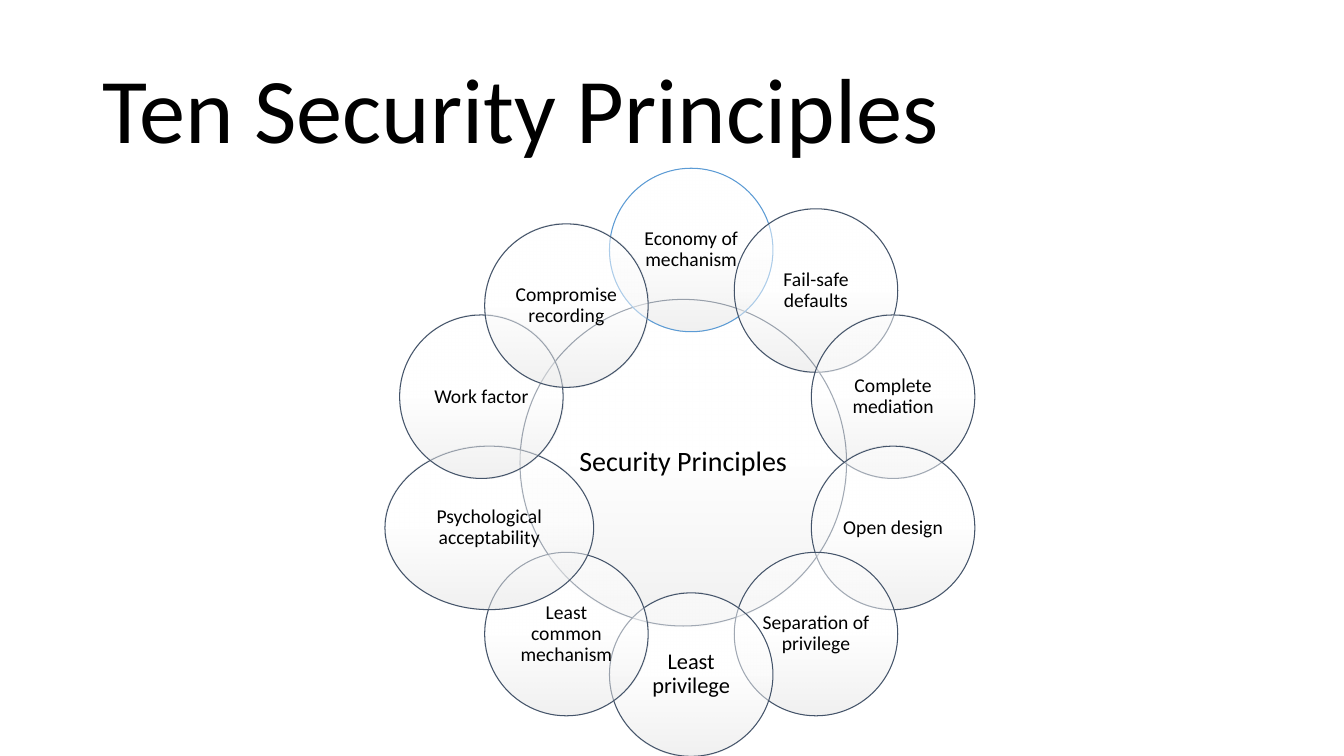
from math import cos, radians, sin

from lxml.etree import SubElement
from pptx import Presentation
from pptx.dml.color import RGBColor as Rgb
from pptx.enum.shapes import MSO_SHAPE as Shape
from pptx.enum.text import MSO_ANCHOR as Anchor, PP_ALIGN as Align
from pptx.oxml.ns import qn
from pptx.util import Cm, Pt

COLORS = {
    "text": "000000",
    "light": "FFFFFF",
    "shade": "E3E3E3",
    "line": "44546A",
    "first": "5B9BD5",
}
FONT = "Calibri"
HUB_X, HUB_Y, HUB_SIZE = 17.22, 11.66, 8.23
RING_X, RING_Y, RADIUS = 17.42, 11.65, 5.35
SIZE = 4.12

# Clockwise from the top; options override the defaults of add_circle,
# and dx, dy move a circle off the ring.
RING = [
    ("Economy of mechanism", {"line": "first"}),
    ("Fail-safe defaults", {}),
    ("Complete mediation", {}),
    ("Open design", {}),
    ("Separation of privilege", {}),
    ("Least privilege", {"points": 16}),
    ("Least common mechanism", {}),
    ("Psychological acceptability", {"width": 5.26}),
    ("Work factor", {"dx": -0.2}),
    ("Compromise recording", {"dy": 0.38}),
]


def set_text(frame, text, points, align):
    frame.word_wrap = True
    frame.vertical_anchor = Anchor.MIDDLE
    para = frame.paragraphs[0]
    para.text = text
    para.alignment = align
    para.line_spacing = 0.9
    para.font.name = FONT
    para.font.size = Pt(points)
    para.font.color.rgb = Rgb.from_string(COLORS["text"])


def set_glass(fill):
    """Fill with a half-transparent gradient that darkens downward."""
    fill.gradient()
    fill.gradient_angle = 270
    stops = fill._xPr.find(qn("a:gradFill")).find(qn("a:gsLst"))
    for old in list(stops):
        stops.remove(old)
    for place, name in ((0, "light"), (50, "light"), (100, "shade")):
        stop = SubElement(stops, qn("a:gs"), pos=str(place * 1000))
        color = SubElement(stop, qn("a:srgbClr"), val=COLORS[name])
        SubElement(color, qn("a:alpha"), val="50000")


def add_circle(slide, text, x, y, width=SIZE, height=SIZE,
               points=14, line="line", inset=0.05):
    """Add an ellipse centred on x, y."""
    oval = slide.shapes.add_shape(
        Shape.OVAL, Cm(x - width / 2), Cm(y - height / 2),
        Cm(width), Cm(height))
    oval.shadow.inherit = False
    set_glass(oval.fill)
    oval.line.color.rgb = Rgb.from_string(COLORS[line])
    oval.line.width = Pt(0.75)
    frame = oval.text_frame
    frame.margin_left = frame.margin_right = Cm(inset)
    frame.margin_top = frame.margin_bottom = Cm(inset)
    set_text(frame, text, points, Align.CENTER)


def add_ring(slide):
    for i, (text, options) in enumerate(RING):
        angle = radians(i * 360 / len(RING))
        style = dict(options)
        x = RING_X + RADIUS * sin(angle) + style.pop("dx", 0)
        y = RING_Y - RADIUS * cos(angle) + style.pop("dy", 0)
        add_circle(slide, text, x, y, **style)


def add_title(slide, text):
    box = slide.shapes.add_textbox(Cm(2.33), Cm(1.01), Cm(29.21), Cm(3.68))
    set_text(box.text_frame, text, 66, Align.LEFT)


def main():
    deck = Presentation()
    deck.slide_width, deck.slide_height = Cm(33.87), Cm(19.05)
    slide = deck.slides.add_slide(deck.slide_layouts[6])
    add_title(slide, "Ten Security Principles")
    add_circle(slide, "Security Principles", HUB_X, HUB_Y,
               HUB_SIZE, HUB_SIZE, points=20, inset=0.08)
    add_ring(slide)
    deck.save("out.pptx")


if __name__ == "__main__":
    main()
